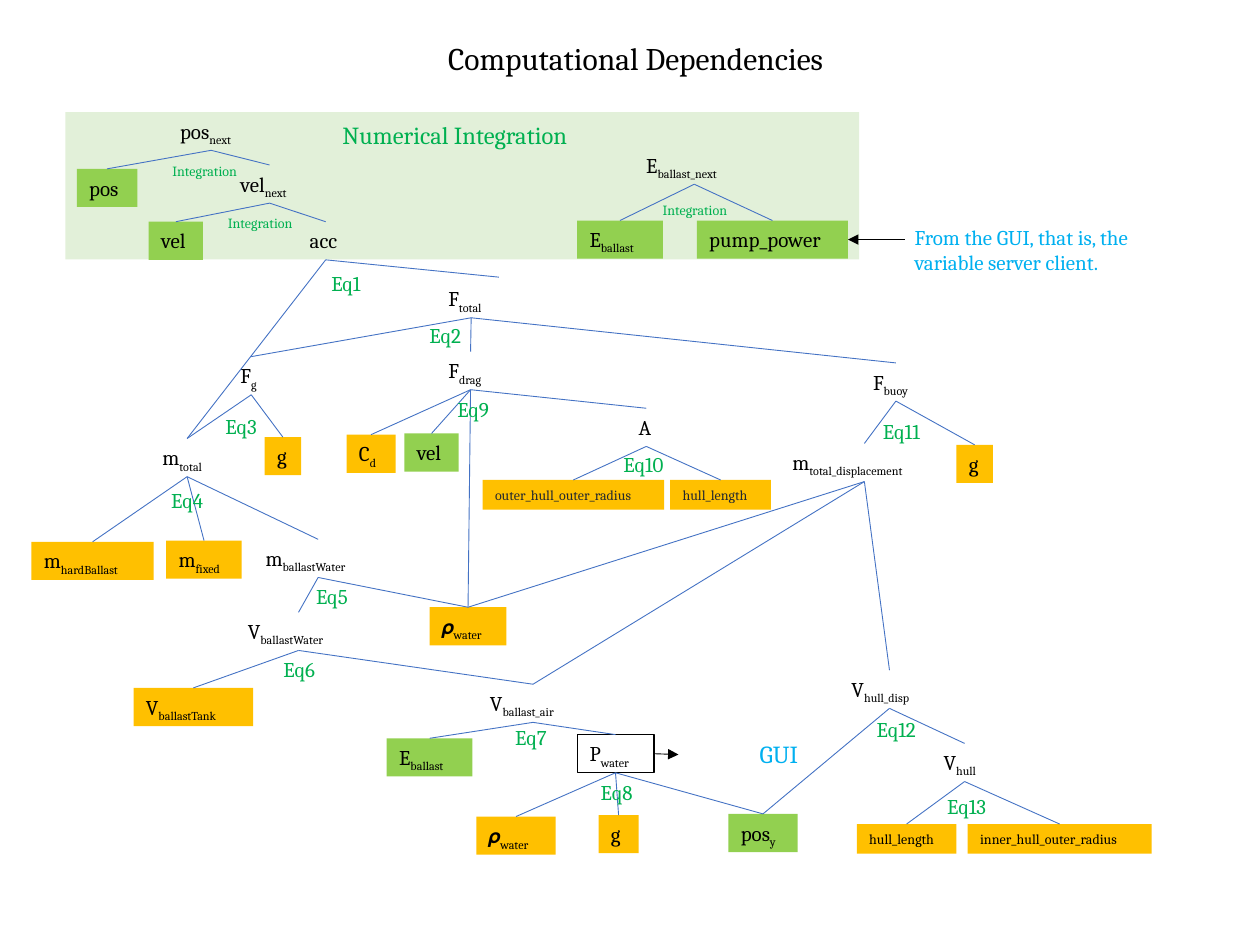
"""Build a one-page tree diagram of computational dependencies."""
from dataclasses import dataclass

import pptx
import pptx.dml.color
import pptx.enum.shapes
import pptx.enum.text
import pptx.oxml.ns
import pptx.util
from lxml import etree

Pt = pptx.util.Pt


@dataclass(frozen=True)
class Theme:
    """Colours, font and type sizes of the diagram."""
    font: str = "Cambria"
    ink: str = "000000"
    graphite: str = "24292F"
    white: str = "FFFFFF"
    panel: str = "E2F0D9"
    constant: str = "FFC000"
    state: str = "92D050"
    equation: str = "00B050"
    interface: str = "00B0F0"
    link: str = "4472C4"
    title: float = 18
    heading: float = 14
    body: float = 12
    small: float = 8


@dataclass(frozen=True)
class Box:
    """A rectangle in points."""
    left: float
    top: float
    width: float
    height: float

    def inner(self, left, top, width, height):
        """Return a box placed relative to this one."""
        return Box(self.left + left, self.top + top, width, height)

    def point(self, across, down):
        """Return the point at the given fractions of width and height."""
        return self.left + self.width * across, self.top + self.height * down


THEME = Theme()
HEIGHTS = {THEME.small: 17, THEME.body: 21.8, THEME.heading: 24.3}
KINDS = {
    "plain": (None, THEME.ink, THEME.body),
    "white": (THEME.white, THEME.ink, THEME.body),
    "outlined": (None, THEME.ink, THEME.body),
    "constant": (THEME.constant, THEME.ink, THEME.body),
    "state": (THEME.state, THEME.ink, THEME.body),
    "parameter": (THEME.constant, THEME.ink, THEME.small),
    "dark parameter": (THEME.constant, THEME.graphite, THEME.small),
    "equation": (None, THEME.equation, THEME.body),
    "rule": (None, THEME.equation, THEME.small),
    "heading": (None, THEME.equation, THEME.heading),
    "interface": (None, THEME.interface, THEME.heading),
    "note": (None, THEME.interface, THEME.body),
}
INTEGRATION_NODES = [
    ("pos_next", "pos", "next", 58.4, 0, 49.7, "plain"),
    ("pos", "pos", "", 6.5, 32.4, 34.6, "state"),
    ("vel_next", "vel", "next", 92.9, 30.2, 47.5, "plain"),
    ("vel", "vel", "", 47.6, 62.6, 31, "state"),
    ("acc", "acc", "", 132.5, 62.6, 32.4, "plain"),
    ("E_next", "E", "ballast_next", 324.8, 19.4, 69.1, "plain"),
    ("E", "E", "ballast", 292.4, 61.9, 49, "state"),
    ("pump", "pump_power", "", 360.8, 61.9, 86.4, "state"),
]
INTEGRATION_LINKS = {"pos_next": ["pos", "vel_next"], "vel_next": ["vel", "acc"],
                     "E_next": ["E", "pump"]}
RULES = [(54, 25.2), (85.7, 54.7), (334.1, 47.5)]
EQUATION_NODES = [
    ("F_total", "F", "total", 231.1, 8.6, 40.3, "plain"),
    ("F_g", "F", "g", 112.3, 52.6, 26.6, "plain"),
    ("F_drag", "F", "drag", 231.1, 49.7, 39.6, "plain"),
    ("F_buoy", "F", "buoy", 473.8, 56.2, 40.3, "plain"),
    ("m_total", "m", "total", 67.7, 99.4, 42.5, "plain"),
    ("g weight", "g", "", 133.2, 98.6, 20.9, "constant"),
    ("C_d", "C", "d", 180, 97.2, 28.1, "constant"),
    ("vel drag", "vel", "", 213.1, 96.5, 31, "state"),
    ("A", "A", "", 339.8, 82.1, 23, "plain"),
    ("m_disp", "m", "total_displacement", 427.7, 102.2, 96.5, "plain"),
    ("g buoyancy", "g", "", 528.5, 103, 20.9, "constant"),
    ("outer radius", "outer_hull_outer_radius", "", 257.8, 123.1, 103.7, "dark parameter"),
    ("area length", "hull_length", "", 365, 123.1, 57.6, "dark parameter"),
    ("m_hard", "m", "hardBallast", 0, 158.4, 69.8, "constant"),
    ("m_fixed", "m", "fixed", 77, 157.7, 43.2, "constant"),
    ("m_ballast", "m", "ballastWater", 126.7, 157, 74.2, "plain"),
    ("V_ballast", "V", "ballastWater", 116.6, 198.7, 72, "plain"),
    ("V_tank", "V", "ballastTank", 58.3, 241.9, 68.4, "constant"),
    ("density", "𝞺", "water", 227.5, 195.8, 43.9, "constant"),
    ("V_air", "V", "ballast_air", 254.9, 239.8, 63.4, "plain"),
    ("E air", "E", "ballast", 203, 270.7, 49, "state"),
    ("P", "P", "water", 311.8, 268.6, 43.9, "outlined"),
    ("density depth", "𝞺", "water", 254.2, 315.4, 45.4, "constant"),
    ("g depth", "g", "", 324, 314.6, 23, "constant"),
    ("pos_y", "pos", "y", 398.2, 313.9, 39.6, "state"),
    ("V_disp", "V", "hull_disp", 461.5, 231.8, 57.6, "white"),
    ("V_hull", "V", "hull", 514.1, 273.6, 38.2, "white"),
    ("hull length", "hull_length", "", 471.6, 319.7, 56.9, "parameter"),
    ("inner radius", "inner_hull_outer_radius", "", 535, 319.7, 105.1, "parameter"),
]
EQUATION_LINKS = {
    "acc": ["m_total"], "F_total": ["F_g", "F_drag", "F_buoy"], "F_g": ["m_total", "g weight"],
    "F_drag": ["C_d", "vel drag", "density", "A"], "F_buoy": ["m_disp", "g buoyancy"],
    "A": ["outer radius", "area length"], "m_total": ["m_hard", "m_fixed", "m_ballast"],
    "m_disp": ["density", "V_air", "V_disp"], "m_ballast": ["V_ballast", "density"],
    "V_ballast": ["V_tank", "V_air"], "V_air": ["E air", "P"],
    "P": ["density depth", "g depth", "pos_y"], "V_disp": ["pos_y", "V_hull"],
    "V_hull": ["hull length", "inner radius"],
}
EQUATIONS = [(164.2, 0), (220.3, 29.5), (103.7, 81.4), (72.7, 123.8), (155.5, 178.6),
             (136.8, 220.3), (269.3, 259.2), (318.2, 290.9), (236.2, 72), (331.2, 103),
             (479.5, 84.2), (475.9, 254.9), (516.2, 298.8)]


def rgb(value):
    """Turn a hex string into a colour."""
    return pptx.dml.color.RGBColor.from_string(value)


def place(shape, box):
    """Move and size a shape to a box."""
    shape.left, shape.top, shape.width, shape.height = map(
        Pt, (box.left, box.top, box.width, box.height))


def style(span, size, color):
    """Set the font, size and colour of a run."""
    span.font.name, span.font.size = THEME.font, Pt(size)
    span.font.color.rgb = rgb(color)


def add_label(page, area, text, left, top, width, kind, subscript=""):
    """Add a text box of one kind inside an area and return its box."""
    fill, color, size = KINDS[kind]
    lines = text.split("\n")
    box = area.inner(left, top, width, HEIGHTS[size] + 14.2 * (len(lines) - 1))
    shape = page.shapes.add_textbox(0, 0, 0, 0)
    place(shape, box)
    frame = shape.text_frame
    frame.text = text
    frame.word_wrap = False
    frame.auto_size = pptx.enum.text.MSO_AUTO_SIZE.SHAPE_TO_FIT_TEXT
    if subscript:
        span = frame.paragraphs[0].add_run()
        span.text = subscript
        span.font._element.set("baseline", "-25000")
    for para in frame.paragraphs:
        for span in para.runs:
            style(span, size, color)
    if fill:
        shape.fill.solid()
        shape.fill.fore_color.rgb = rgb(fill)
    if kind == "outlined":
        shape.line.color.rgb, shape.line.width = rgb(THEME.ink), Pt(0.75)
    return box


def add_line(page, start, end, color=THEME.link, arrow=False):
    """Draw a thin line between two points, with an optional arrowhead."""
    line = page.shapes.add_connector(
        pptx.enum.shapes.MSO_CONNECTOR.STRAIGHT, *map(Pt, (*start, *end)))
    line.line.color.rgb, line.line.width = rgb(color), Pt(0.5)
    if arrow:
        head = etree.SubElement(line.line._get_or_add_ln(), pptx.oxml.ns.qn("a:tailEnd"))
        head.set("type", "triangle")
    etree.SubElement(line._element.spPr, pptx.oxml.ns.qn("a:effectLst"))


def add_tree(page, area, nodes, links, boxes):
    """Place nodes in an area, then link each parent to its children."""
    for key, text, subscript, left, top, width, kind in nodes:
        boxes[key] = add_label(page, area, text, left, top, width, kind, subscript)
    for parent, children in links.items():
        for child in children:
            add_line(page, boxes[parent].point(0.5, 1), boxes[child].point(0.5, 0))


def add_title(page, area):
    """Format the title placeholder."""
    title = page.shapes.title
    place(title, area)
    frame = title.text_frame
    frame.text = "Computational Dependencies"
    frame.auto_size = pptx.enum.text.MSO_AUTO_SIZE.NONE
    frame.vertical_anchor = pptx.enum.text.MSO_ANCHOR.MIDDLE
    frame.paragraphs[0].alignment = pptx.enum.text.PP_ALIGN.CENTER
    style(frame.paragraphs[0].runs[0], THEME.title, THEME.ink)


def add_integration(page, area, boxes):
    """Draw the numerical integration panel and its client note."""
    panel = page.shapes.add_shape(pptx.enum.shapes.MSO_SHAPE.RECTANGLE, 0, 0, 0, 0)
    place(panel, area)
    panel.shadow.inherit = False
    panel.fill.solid()
    panel.fill.fore_color.rgb = rgb(THEME.panel)
    panel.line.fill.background()
    add_tree(page, area, INTEGRATION_NODES, INTEGRATION_LINKS, boxes)
    for left, top in RULES:
        add_label(page, area, "Integration", left, top, 56.9, "rule")
    add_label(page, area, "Numerical Integration", 151.2, 0.7, 162, "heading")
    note = "From the GUI, that is, the\nvariable server client."
    add_label(page, area, note, 478.1, 60.5, 162, "note")
    tip = boxes["pump"].point(1, 0.5)
    add_line(page, (tip[0] + 32.4, tip[1]), tip, THEME.ink, arrow=True)


def add_equations(page, area, boxes):
    """Draw the tree of equations below the integration panel."""
    add_tree(page, area, EQUATION_NODES, EQUATION_LINKS, boxes)
    add_line(page, boxes["acc"].point(0.5, 1), (area.left + 267.1, area.top + 7.2))
    for number, (left, top) in enumerate(EQUATIONS, 1):
        add_label(page, area, f"Eq{number}", left, top, 36.7 if number < 10 else 43.2, "equation")
    start = boxes["P"].point(1, 0.5)
    add_line(page, start, (start[0] + 14, start[1] + 0.5), THEME.ink, arrow=True)
    add_label(page, area, "GUI", 409, 267.8, 43.2, "interface")


def main():
    """Build and save the deck."""
    deck = pptx.Presentation()
    deck.slide_width, deck.slide_height = Pt(720), Pt(540)
    page = deck.slides.add_slide(deck.slide_layouts.get_by_name("Title Only"))
    boxes = {}
    add_title(page, Box(6.5, 18.7, 713.5, 29))
    add_integration(page, Box(37.4, 64.1, 453.6, 84.2), boxes)
    add_equations(page, Box(18, 151.2, 640.1, 336.7), boxes)
    deck.save("out.pptx")


if __name__ == "__main__":
    main()
